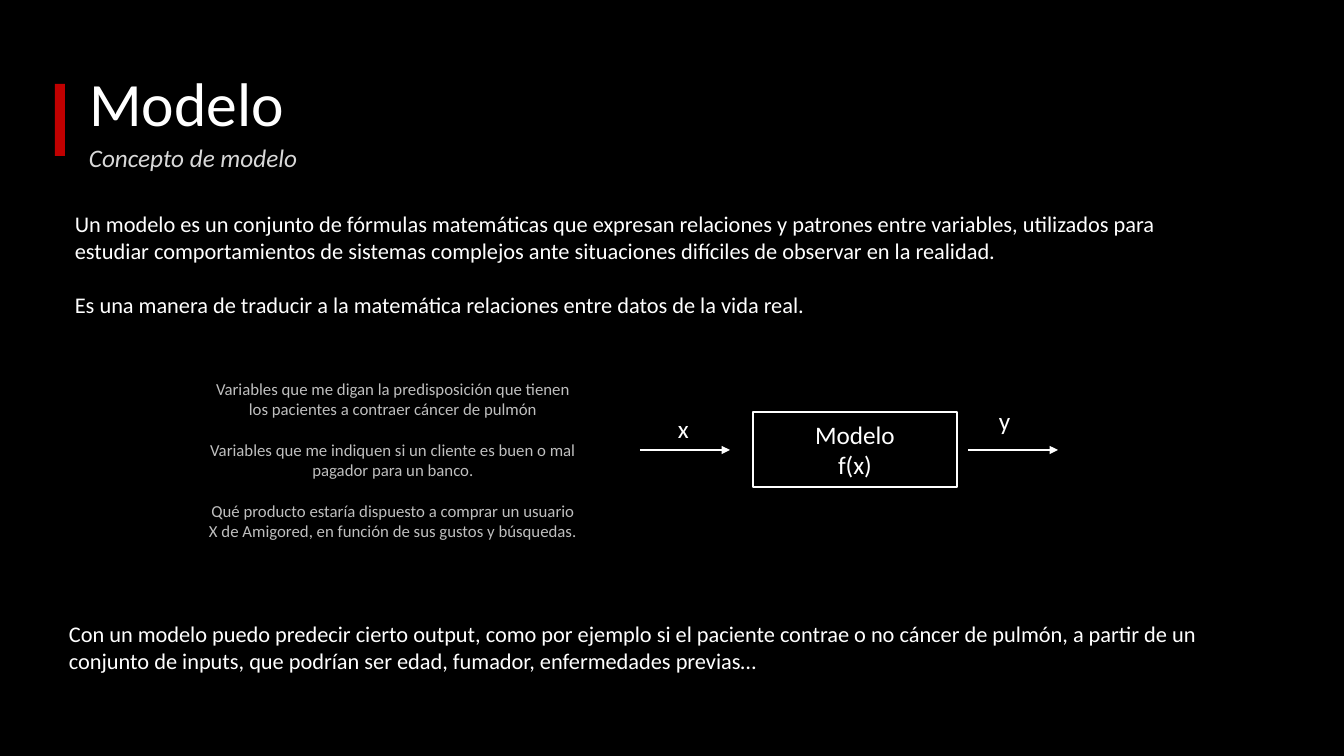
"""Build the slide that explains the concept of a model."""
import pptx
import pptx.dml.color
import pptx.enum.shapes
import pptx.enum.text
import pptx.oxml.ns
import pptx.util
from lxml import etree

PX = 12192000 // 1344
BLACK = pptx.dml.color.RGBColor(0x00, 0x00, 0x00)
WHITE = pptx.dml.color.RGBColor(0xFF, 0xFF, 0xFF)
RED = pptx.dml.color.RGBColor(0xC0, 0x00, 0x00)
PALE_GREY = pptx.dml.color.RGBColor(0xD8, 0xD8, 0xD8)
GREY = pptx.dml.color.RGBColor(0xBF, 0xBF, 0xBF)
LEFT = pptx.enum.text.PP_ALIGN.LEFT
CENTER = pptx.enum.text.PP_ALIGN.CENTER
MIDDLE = pptx.enum.text.MSO_ANCHOR.MIDDLE
RECTANGLE = pptx.enum.shapes.MSO_SHAPE.RECTANGLE


def px(*lengths):
    return [pptx.util.Emu(length * PX) for length in lengths]


def write(frame, text, size, color, align=LEFT, gap=0, spacing=1.0):
    frame.text = text
    frame.word_wrap = True
    frame.auto_size = pptx.enum.text.MSO_AUTO_SIZE.NONE
    for index, paragraph in enumerate(frame.paragraphs):
        paragraph.alignment = align
        paragraph.line_spacing = spacing
        paragraph.space_before = pptx.util.Pt(gap if index else 0)
        font = paragraph.runs[0].font
        font.name = "Calibri"
        font.size = pptx.util.Pt(size)
        font.color.rgb = color


deck = pptx.Presentation()
deck.slide_width, deck.slide_height = px(1344, 756)
slide = deck.slides.add_slide(deck.slide_layouts[5])
slide.background.fill.solid()
slide.background.fill.fore_color.rgb = BLACK

heading = slide.shapes.title
heading.left, heading.top, heading.width, heading.height = px(79, 34, 1159, 146)
write(heading.text_frame, "Modelo", 44, WHITE, spacing=0.9)
heading.text_frame.vertical_anchor = MIDDLE

subtitle = slide.shapes.add_textbox(*px(79, 141, 605, 52))
write(subtitle.text_frame, "Concepto de modelo", 18, PALE_GREY, spacing=0.9)
subtitle.text_frame.paragraphs[0].runs[0].font.italic = True

accent = slide.shapes.add_shape(RECTANGLE, *px(55, 84, 10, 72))
accent.shadow.inherit = False
accent.fill.solid()
accent.fill.fore_color.rgb = RED
accent.line.fill.background()

definition = (
    "Un modelo es un conjunto de fórmulas matemáticas que expresan relaciones y patrones "
    "entre variables, utilizados para estudiar comportamientos de sistemas complejos ante "
    "situaciones difíciles de observar en la realidad.\n"
    "Es una manera de traducir a la matemática relaciones entre datos de la vida real."
)
examples = (
    "Variables que me digan la predisposición que tienen los pacientes a contraer cáncer de pulmón\n"
    "Variables que me indiquen si un cliente es buen o mal pagador para un banco.\n"
    "Qué producto estaría dispuesto a comprar un usuario X de Amigored, "
    "en función de sus gustos y búsquedas."
)
conclusion = (
    "Con un modelo puedo predecir cierto output, como por ejemplo si el paciente contrae o no "
    "cáncer de pulmón, a partir de un conjunto de inputs, que podrían ser edad, fumador, "
    "enfermedades previas…"
)
for area, text, size, color, align, gap in [
    ((65, 205, 1173, 119), definition, 16, WHITE, LEFT, 19.5),
    ((198, 374, 390, 173), examples, 12, GREY, CENTER, 14.6),
    ((59, 615, 1173, 65), conclusion, 16, WHITE, LEFT, 0),
    ((668, 408, 34, 40), "x", 18, WHITE, LEFT, 0),
    ((989, 400, 34, 40), "y", 18, WHITE, LEFT, 0),
]:
    passage = slide.shapes.add_textbox(*px(*area))
    write(passage.text_frame, text, size, color, align, gap)

model = slide.shapes.add_shape(RECTANGLE, *px(753, 412, 204, 75))
model.shadow.inherit = False
model.fill.background()
model.line.color.rgb = WHITE
model.line.width = pptx.util.Pt(2)
write(model.text_frame, "Modelo\nf(x)", 18, WHITE, CENTER)
model.text_frame.vertical_anchor = MIDDLE

for start in (640, 968):
    flow = slide.shapes.add_connector(
        pptx.enum.shapes.MSO_CONNECTOR.STRAIGHT, *px(start, 450, start + 90, 450)
    )
    flow.line.color.rgb = WHITE
    flow.line.width = pptx.util.Pt(2)
    etree.SubElement(flow.line._get_or_add_ln(), pptx.oxml.ns.qn("a:tailEnd"), type="triangle")
    etree.SubElement(flow._element.spPr, pptx.oxml.ns.qn("a:effectLst"))

deck.save("out.pptx")
